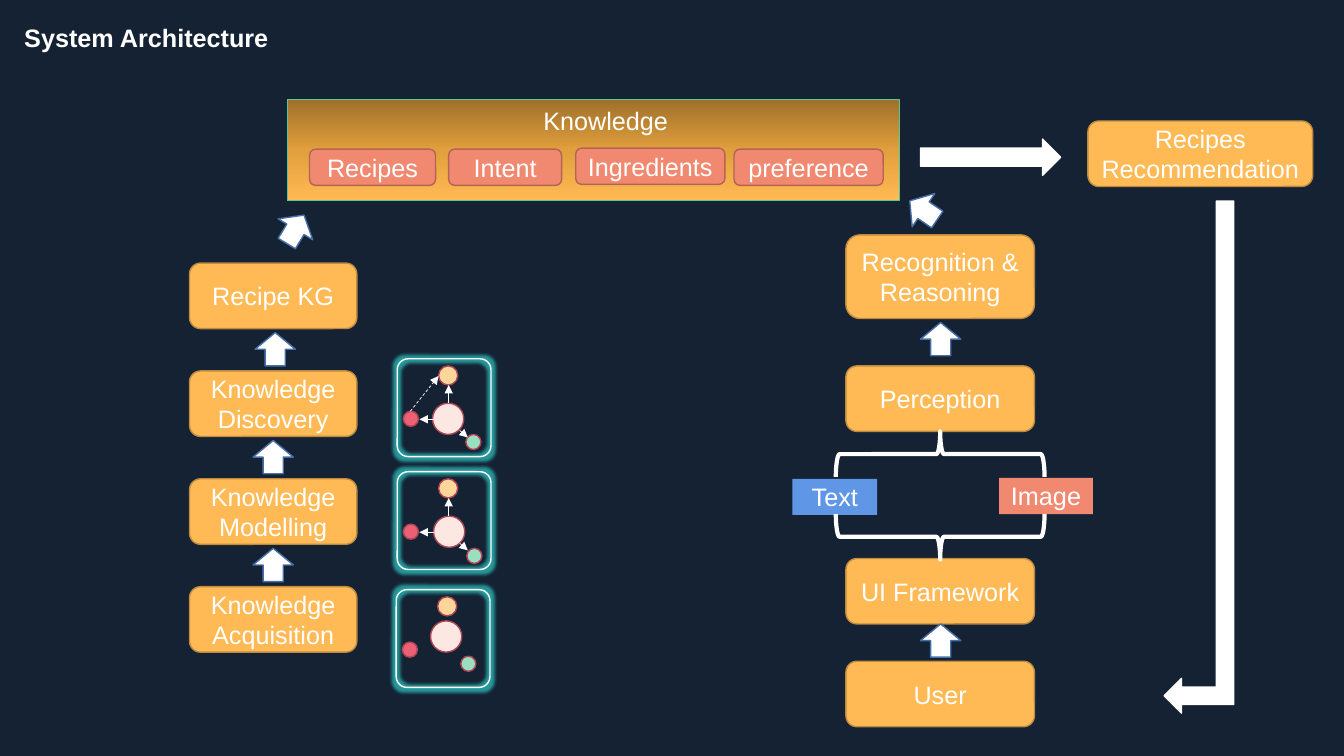
from copy import deepcopy

from pptx import Presentation
from pptx import util as u
from pptx.dml import color as c
from pptx.enum import dml, shapes, text
from pptx.oxml import ns
from lxml import etree

EMU_PER_PX = 9144  # 100 px to the inch
FONT = "Arial"
WHITE = "FFFFFF"
AMBER, AMBER_EDGE = "FFBA55", "BD8A3F"
CORAL, CORAL_EDGE = "F18870", "B26553"
BLUE, ARROW_EDGE, NODE_EDGE = "6096E6", "476FAA", "AF4656"
GLOW = "2CB5B5"
PINK, GREEN, ORANGE, PALE = "EC5F74", "9ADFBF", "FFD699", "FCE7E2"
Kind = shapes.MSO_SHAPE


def px(value):
    return u.Emu(round(value * EMU_PER_PX))


def rgb(value):
    return c.RGBColor.from_string(value)


def child(parent, tag, **attributes):
    return etree.SubElement(parent, ns.qn(tag), attributes)


def write(para, words, bold=False):
    span = para.add_run()
    span.text = words
    span.font.name = FONT
    span.font.size = u.Pt(18)
    span.font.bold = bold
    span.font.color.rgb = rgb(WHITE)


def add_shape(parent, kind, box, fill=None, edge=None, words="", width=1, turn=0):
    shape = parent.add_shape(kind, *map(px, box))
    shape.shadow.inherit = False
    shape.rotation = turn
    if fill:
        shape.fill.solid()
        shape.fill.fore_color.rgb = rgb(fill)
    else:
        shape.fill.background()
    if edge:
        shape.line.color.rgb = rgb(edge)
        shape.line.width = u.Pt(width)
    else:
        shape.line.fill.background()
    if words:
        frame = shape.text_frame
        frame.word_wrap = True
        frame.vertical_anchor = text.MSO_ANCHOR.MIDDLE
        para = frame.paragraphs[0]
        para.alignment = text.PP_ALIGN.CENTER
        write(para, words)
    return shape


def add_step(parent, box, words):
    add_shape(parent, Kind.ROUNDED_RECTANGLE, box, AMBER, AMBER_EDGE, words)


def add_up_arrow(parent, left, top, turn=0):
    add_shape(parent, Kind.UP_ARROW, (left, top, 40, 33), WHITE, ARROW_EDGE, turn=turn)


def add_link(parent, start, end, dashed=False):
    link = parent.add_connector(shapes.MSO_CONNECTOR.STRAIGHT, *map(px, start + end))
    link.line.color.rgb = rgb(WHITE)
    link.line.width = u.Pt(0.5)
    if dashed:
        link.line.dash_style = dml.MSO_LINE.DASH
    properties = link._element.spPr
    child(properties.find(ns.qn("a:ln")), "a:tailEnd", type="triangle")
    child(properties, "a:effectLst")


def add_title(page):
    title = page.shapes.title
    title.left, title.top, title.width, title.height = map(px, (14, 17, 300, 40))
    title.text_frame.vertical_anchor = text.MSO_ANCHOR.MIDDLE
    para = title.text_frame.paragraphs[0]
    para.alignment = text.PP_ALIGN.LEFT
    write(para, "System Architecture", bold=True)


def add_knowledge_panel(page, box):
    left, top, width, height = box
    group = page.shapes.add_group_shape().shapes
    panel = add_shape(group, Kind.RECTANGLE, box, AMBER, "56CA95", width=0.5)
    panel.fill.gradient()
    panel.fill.gradient_angle = 270
    stops = panel._element.spPr.find(".//" + ns.qn("a:gsLst"))
    stops.insert(1, deepcopy(stops[0]))
    shades = ((0, "9F702B"), (0.5, "E29F3D"), (1, AMBER))
    for stop, (position, shade) in zip(panel.fill.gradient_stops, shades):
        stop.position = position
        stop.color.rgb = rgb(shade)

    topics = (("Recipes", 22, 49, 125), ("Intent", 160, 49, 112),
              ("Ingredients", 286, 48, 148), ("preference", 443, 49, 148))
    for words, across, down, wide in topics:
        add_shape(group, Kind.ROUNDED_RECTANGLE, (left + across, top + down, wide, 36),
                  CORAL, CORAL_EDGE, words)
    heading = group.add_textbox(*map(px, (left + 244, top + 1, 167, 40)))
    heading.text_frame.word_wrap = True
    write(heading.text_frame.paragraphs[0], "Knowledge")


def add_graph(page, left, top, green, core, linked=False, inferred=False):
    """Framed node graph; green and core are node offsets inside the frame."""
    group = page.shapes.add_group_shape().shapes
    nodes = (((6, 52), 15, PINK), (green, 15, GREEN), ((41, 7), 19, ORANGE), (core, 31, PALE))
    for (across, down), size, fill in nodes:
        add_shape(group, Kind.OVAL, (left + across, top + down, size, size), fill, NODE_EDGE)

    links = []
    if linked:
        links += [((36, 60), (22, 60)), ((51, 44), (51, 26)), ((62, 71), (70, 78))]
    if inferred:
        links.append(((13, 52), (41, 17)))
    for start, end in links:
        add_link(group, (left + start[0], top + start[1]), (left + end[0], top + end[1]),
                 dashed=start == (13, 52))

    frame = add_shape(group, Kind.ROUNDED_RECTANGLE, (left, top, 93, 97), edge=WHITE)
    frame.adjustments[0] = 0.116
    effects = frame._element.spPr.find(ns.qn("a:effectLst"))
    glow = child(effects, "a:glow", rad="63500")
    tint = child(glow, "a:srgbClr", val=GLOW)
    child(tint, "a:alpha", val="80000")


def add_knowledge_column(page, left, top):
    names = ("Recipe KG", "Knowledge Discovery", "Knowledge Modelling", "Knowledge Acquisition")
    for row, words in enumerate(names):
        step_top = top + 107 * row
        add_step(page.shapes, (left, step_top, 166, 65), words)
        if row:
            add_up_arrow(page.shapes, left + (65 if row == 1 else 63), step_top - 38)
    add_up_arrow(page.shapes, left + 85, top - 50, turn=31.2)

    add_graph(page, left + 206, top + 95, (68, 75), (35, 44), linked=True, inferred=True)
    add_graph(page, left + 206, top + 207, (69, 76), (36, 44), linked=True)
    add_graph(page, left + 205, top + 324, (64, 66), (34, 31))


def add_interaction_column(page, left, top):
    steps = (("Recognition & Reasoning", 0, 83), ("Perception", 130, 65),
             ("UI Framework", 321, 65), ("User", 423, 65))
    for words, down, height in steps:
        add_step(page.shapes, (left, top + down, 187, height), words)
    for down in (87, 386):
        add_up_arrow(page.shapes, left + 74, top + down)
    add_up_arrow(page.shapes, left + 57, top - 41, turn=304.3)

    # Inputs between the two braces
    add_shape(page.shapes, Kind.RECTANGLE, (left - 53, top + 242, 84, 36), BLUE, words="Text")
    add_shape(page.shapes, Kind.RECTANGLE, (left + 152, top + 241, 93, 36), CORAL, words="Image")
    for down, turn in ((114, 90), (196, 270)):
        add_shape(page.shapes, Kind.LEFT_BRACE, (left + 71, top + down, 45, 207),
                  edge=WHITE, width=3, turn=turn)


def add_recommendation(page, left, top):
    add_step(page.shapes, (left, top, 223, 65), "Recipes Recommendation")
    add_shape(page.shapes, Kind.RIGHT_ARROW, (left - 166, top + 18, 139, 36), WHITE, WHITE)
    back = add_shape(page.shapes, Kind.BENT_UP_ARROW, (left - 144, top + 299, 508, 69),
                     WHITE, WHITE, turn=270)
    back._element.spPr.find(ns.qn("a:xfrm")).set("flipH", "1")


def main():
    deck = Presentation()
    deck.slide_width, deck.slide_height = px(1333), px(750)
    page = deck.slides.add_slide(deck.slide_layouts[5])
    page.background.fill.solid()
    page.background.fill.fore_color.rgb = rgb("142233")
    add_title(page)
    add_knowledge_column(page, 188, 261)
    add_interaction_column(page, 839, 233)
    add_knowledge_panel(page, (285, 99, 607, 100))
    add_recommendation(page, 1079, 120)
    deck.save("out.pptx")


if __name__ == "__main__":
    main()
